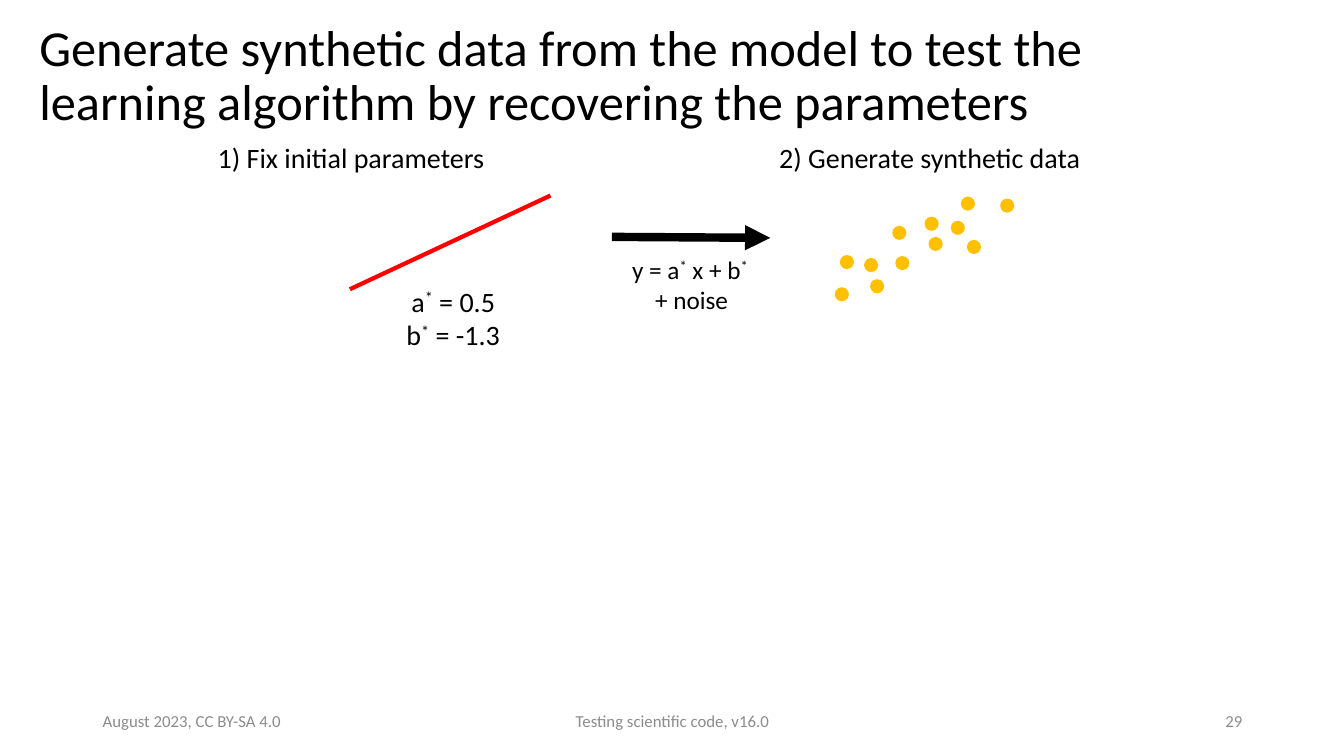
import pptx
import pptx.util
import pptx.dml.color
import pptx.enum.shapes
import pptx.enum.text
from lxml import etree

Inches = pptx.util.Inches
Pt = pptx.util.Pt
ALIGN = pptx.enum.text.PP_ALIGN
ANCHOR = pptx.enum.text.MSO_ANCHOR
COLORS = {"text": "000000", "footer": "8C8C8C", "model": "FF0000", "data": "FFC000"}
DRAWING = "{http://schemas.openxmlformats.org/drawingml/2006/main}"


def write_text(box, place, lines, size, color="text", align=ALIGN.LEFT, anchor=ANCHOR.TOP):
    box.left, box.top, box.width, box.height = [Inches(length) for length in place]
    frame = box.text_frame
    frame.word_wrap = True
    frame.vertical_anchor = anchor
    for index, line in enumerate(lines):
        para = frame.add_paragraph() if index else frame.paragraphs[0]
        para.alignment = align
        for text in line:
            if text == "\n":
                para.add_line_break()
                continue
            span = para.add_run()
            span.text = text
            span.font.name = "Calibri"
            span.font.size = Pt(size)
            span.font.color.rgb = pptx.dml.color.RGBColor.from_string(COLORS[color])
            if text.strip() == "*":
                span.font._element.set("baseline", "30000")


def draw_line(start, end, color, width):
    line = page.shapes.add_connector(
        pptx.enum.shapes.MSO_CONNECTOR.STRAIGHT, *[Inches(length) for length in start + end]
    )
    line.line.color.rgb = pptx.dml.color.RGBColor.from_string(COLORS[color])
    line.line.width = Pt(width)
    etree.SubElement(line._element.spPr, DRAWING + "effectLst")
    return line


deck = pptx.Presentation()
deck.slide_width = Inches(13.33)
deck.slide_height = Inches(7.5)
page = deck.slides.add_slide(deck.slide_layouts[5])

title = page.shapes.title
write_text(
    title,
    (0.29, 0.27, 12.13, 0.99),
    [["Generate synthetic data from the model to test the learning algorithm by recovering the parameters"]],
    36,
    anchor=ANCHOR.MIDDLE,
)
title.text_frame.auto_size = pptx.enum.text.MSO_AUTO_SIZE.NONE
title.text_frame.paragraphs[0].line_spacing = 0.9

footers = [
    (0.92, 3, "August 2023, CC BY-SA 4.0", ALIGN.LEFT),
    (4.42, 4.5, "Testing scientific code, v16.0", ALIGN.CENTER),
    (9.42, 3, "29", ALIGN.RIGHT),
]
for left, width, text, align in footers:
    footer = page.shapes.add_textbox(0, 0, 0, 0)
    write_text(footer, (left, 6.95, width, 0.4), [[text]], 12, "footer", align, ANCHOR.MIDDLE)

headings = [(2.06, 3.01, "1) Fix initial parameters"), (7.63, 3.44, "2) Generate synthetic data")]
for left, width, text in headings:
    heading = page.shapes.add_textbox(0, 0, 0, 0)
    write_text(heading, (left, 1.34, width, 0.44), [[text]], 20)

parameters = page.shapes.add_textbox(0, 0, 0, 0)
parameter_lines = [["a", "*", " = 0.5"], ["b", "*", " = -1.3"]]
write_text(parameters, (3.64, 2.77, 1.71, 0.77), parameter_lines, 20, align=ALIGN.CENTER)

formula = page.shapes.add_textbox(0, 0, 0, 0)
formula_lines = [["y = a", "*", " x + b", "* ", "\n", "+ noise"]]
write_text(formula, (5.73, 2.47, 2.26, 0.91), formula_lines, 18, align=ALIGN.CENTER)

draw_line((3.47, 2.87), (5.46, 1.94), "model", 3)
arrow = draw_line((6.07, 2.35), (7.64, 2.36), "text", 6)
etree.SubElement(arrow.line._get_or_add_ln(), DRAWING + "tailEnd", type="triangle")

data_points = [
    (8.28, 2.85), (8.33, 2.53), (8.57, 2.56), (8.63, 2.77), (8.88, 2.54), (8.85, 2.24),
    (9.21, 2.35), (9.17, 2.15), (9.43, 2.19), (9.53, 1.95), (9.59, 2.38), (9.92, 1.97),
]
scatter = page.shapes.add_group_shape()
for left, top in data_points:
    dot = scatter.shapes.add_shape(
        pptx.enum.shapes.MSO_SHAPE.OVAL, Inches(left), Inches(top), Inches(0.14), Inches(0.14)
    )
    dot.shadow.inherit = False
    dot.fill.solid()
    dot.fill.fore_color.rgb = pptx.dml.color.RGBColor.from_string(COLORS["data"])
    dot.line.fill.background()

deck.save("out.pptx")
